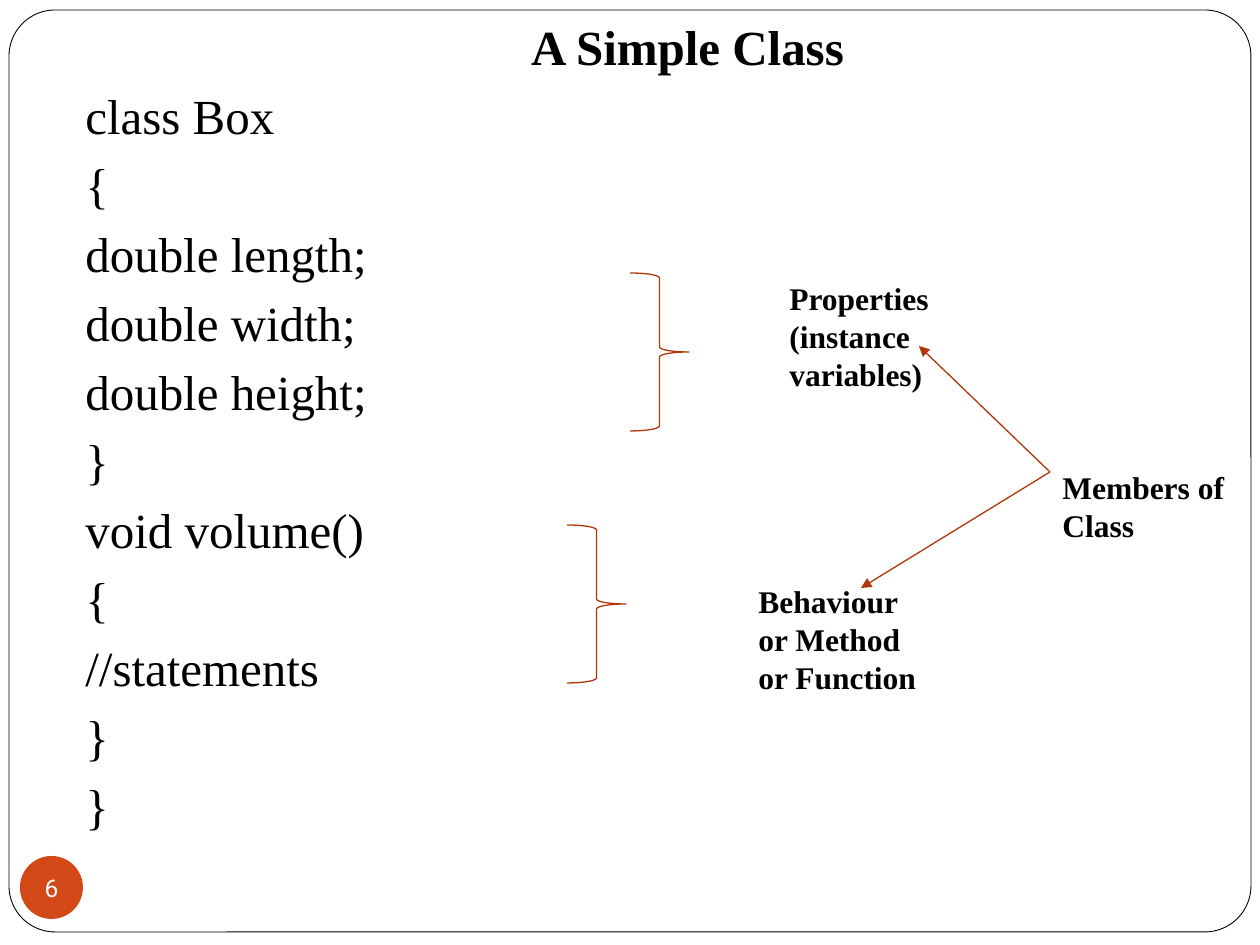
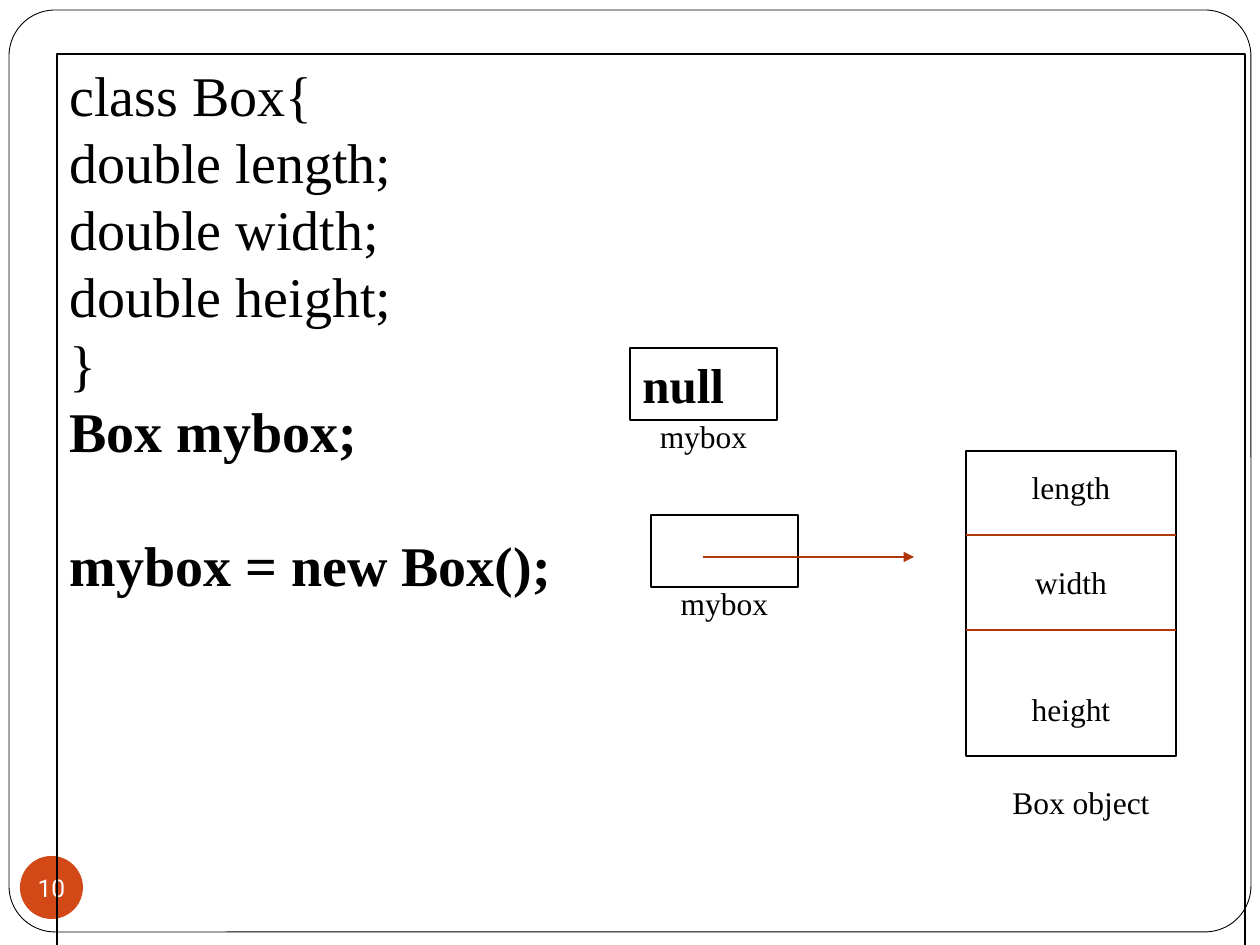
import pptx
import pptx.util
import pptx.dml.color
import pptx.enum.shapes
import pptx.enum.text
import pptx.oxml.ns
import lxml.etree
from dataclasses import dataclass

SHAPE = pptx.enum.shapes.MSO_SHAPE
ALIGN = pptx.enum.text.PP_ALIGN
ANCHOR = pptx.enum.text.MSO_ANCHOR


@dataclass(frozen=True)
class Theme:
    ink: str = "000000"
    paper: str = "FFFFFF"
    badge: str = "D34817"
    accent: str = "B1360B"
    serif: str = "Times New Roman"
    sans: str = "Roboto"
    code: int = 32
    body: int = 28
    label: int = 18
    number: int = 14
    border: float = 0.5
    line: float = 0.75
    body_gap: float = 5.8
    code_gap: float = 38.4


THEME = Theme()
PX_PER_INCH = 126

# Content of the class slide
CLASS_TITLE = "A Simple Class"
CLASS_CODE = ["class Box", "{", "double length;", "double width;", "double height;", "}",
              "void volume()", "{", "//statements", "}", "}"]
CLASS_BODY = (73, 10, 1229, 892)
BRACES = [(630, 273), (567, 525)]
BRACE_SIZE = (59, 158)
MEMBER_LABELS = [
    (["Properties", "(instance", "variables)"], (777, 273, 189, 127)),
    (["Behaviour or Method or Function"], (746, 576, 189, 127)),
    (["Members of Class"], (1050, 462, 189, 89)),
]
MEMBERS_POINT = (1050, 472)
MEMBER_TARGETS = [(919, 346), (861, 588)]

# Content of the object slide
DECLARATION = ["class Box{", "double length;", "double width;", "double height;", "}"]
STATEMENTS = ["Box mybox;", "mybox = new Box();"]
CODE_FRAME = (57, 54, 1188, 963)
REFERENCES = [("null", (630, 348)), ("", (651, 515))]
REFERENCE_NAME = "mybox"
REFERENCE_SIZE = (147, 72)
POINTER = ((703, 557), (914, 557))
BOX_OBJECT = (966, 451, 210, 305)
DIVIDERS = [535, 630]
FIELDS = [("length", 462), ("width", 557), ("height", 684)]
OBJECT_CAPTION = ("Box object", 976, 777)
LABEL_SIZE = (210, 50)


def px(length):
    return pptx.util.Emu(round(length * 914400 / PX_PER_INCH))


def rgb(colour):
    return pptx.dml.color.RGBColor.from_string(colour)


def add_outline(slide, kind, place, fill=None, line=None, width=THEME.line):
    shape = slide.shapes.add_shape(kind, *map(px, place))
    shape.shadow.inherit = False
    if fill:
        shape.fill.solid()
        shape.fill.fore_color.rgb = rgb(fill)
    else:
        shape.fill.background()
    if line:
        shape.line.color.rgb = rgb(line)
        shape.line.width = pptx.util.Pt(width)
    else:
        shape.line.fill.background()
    return shape


def write(shape, lines, size, align=ALIGN.LEFT, bold=(), gap=0,
          colour=THEME.ink, font=THEME.serif):
    """Fill a shape with one paragraph per line; bold holds line numbers."""
    frame = shape.text_frame
    frame.word_wrap = True
    frame.vertical_anchor = ANCHOR.TOP
    frame.text = "\n".join(lines)
    for number, paragraph in enumerate(frame.paragraphs):
        paragraph.alignment = align
        if number and gap:
            paragraph.space_before = pptx.util.Pt(gap)
        for run in paragraph.runs:
            run.font.size = pptx.util.Pt(size)
            run.font.name = font
            run.font.bold = number in bold
            run.font.color.rgb = rgb(colour)
    return frame


def add_text(slide, place, lines, size, **style):
    return write(slide.shapes.add_textbox(*map(px, place)), lines, size, **style)


def add_label(slide, left, top, text):
    add_text(slide, (left, top, *LABEL_SIZE), [text], THEME.label, align=ALIGN.CENTER)


def add_line(slide, start, end, arrow=False):
    line = slide.shapes.add_connector(
        pptx.enum.shapes.MSO_CONNECTOR.STRAIGHT, *map(px, (*start, *end)))
    line.line.color.rgb = rgb(THEME.accent)
    line.line.width = pptx.util.Pt(THEME.line)
    qn, properties = pptx.oxml.ns.qn, line._element.spPr
    if arrow:
        lxml.etree.SubElement(properties.find(qn("a:ln")), qn("a:tailEnd"), type="triangle")
    lxml.etree.SubElement(properties, qn("a:effectLst"))


def add_page(deck):
    """Blank slide with the shared rounded border."""
    slide = deck.slides.add_slide(deck.slide_layouts[6])
    border = add_outline(slide, SHAPE.ROUNDED_RECTANGLE, (9, 10, 1242, 922),
                         THEME.paper, THEME.ink, THEME.border)
    border.adjustments[0] = 0.05
    return slide


def add_number(slide, number):
    badge = add_outline(slide, SHAPE.OVAL, (20, 856, 63, 63), THEME.badge)
    frame = write(badge, [str(number)], THEME.number, align=ALIGN.CENTER,
                  colour=THEME.paper, font=THEME.sans)
    frame.word_wrap = False
    frame.vertical_anchor = ANCHOR.MIDDLE
    frame.margin_left = frame.margin_right = frame.margin_top = frame.margin_bottom = 0


def build_class_slide(deck):
    slide = add_page(deck)
    # Title and code
    body = add_text(slide, CLASS_BODY, [CLASS_TITLE, *CLASS_CODE], THEME.body,
                    bold=(0,), gap=THEME.body_gap)
    body.paragraphs[0].alignment = ALIGN.CENTER
    add_number(slide, 6)
    # Braces, member labels and arrows
    for corner in BRACES:
        add_outline(slide, SHAPE.RIGHT_BRACE, (*corner, *BRACE_SIZE), line=THEME.accent)
    for lines, place in MEMBER_LABELS:
        add_text(slide, place, lines, THEME.label, bold=range(len(lines)))
    for target in MEMBER_TARGETS:
        add_line(slide, MEMBERS_POINT, target, arrow=True)


def build_object_slide(deck):
    slide = add_page(deck)
    add_number(slide, 10)
    # Framed code
    code = DECLARATION + STATEMENTS
    frame = add_outline(slide, SHAPE.RECTANGLE, CODE_FRAME, line=THEME.ink)
    listing = write(frame, code, THEME.code, align=ALIGN.JUSTIFY,
                    bold=range(len(DECLARATION), len(code)))
    listing.paragraphs[-1].space_before = pptx.util.Pt(THEME.code_gap)
    # Reference boxes, each with its name centred below
    width, height = REFERENCE_SIZE
    for value, (left, top) in REFERENCES:
        reference = add_outline(slide, SHAPE.RECTANGLE, (left, top, width, height),
                                line=THEME.ink)
        if value:
            write(reference, [value], THEME.body, bold=(0,))
        add_label(slide, left + (width - LABEL_SIZE[0]) / 2, top + height - 9,
                  REFERENCE_NAME)
    add_line(slide, *POINTER, arrow=True)
    # Box object with its fields
    add_outline(slide, SHAPE.RECTANGLE, BOX_OBJECT, line=THEME.ink)
    left, right = BOX_OBJECT[0], BOX_OBJECT[0] + BOX_OBJECT[2]
    for y in DIVIDERS:
        add_line(slide, (left, y), (right, y))
    for field, top in FIELDS:
        add_label(slide, left, top, field)
    caption, caption_left, caption_top = OBJECT_CAPTION
    add_label(slide, caption_left, caption_top, caption)


def main():
    deck = pptx.Presentation()
    deck.slide_width, deck.slide_height = px(1260), px(945)
    build_class_slide(deck)
    build_object_slide(deck)
    deck.save("out.pptx")


if __name__ == "__main__":
    main()
